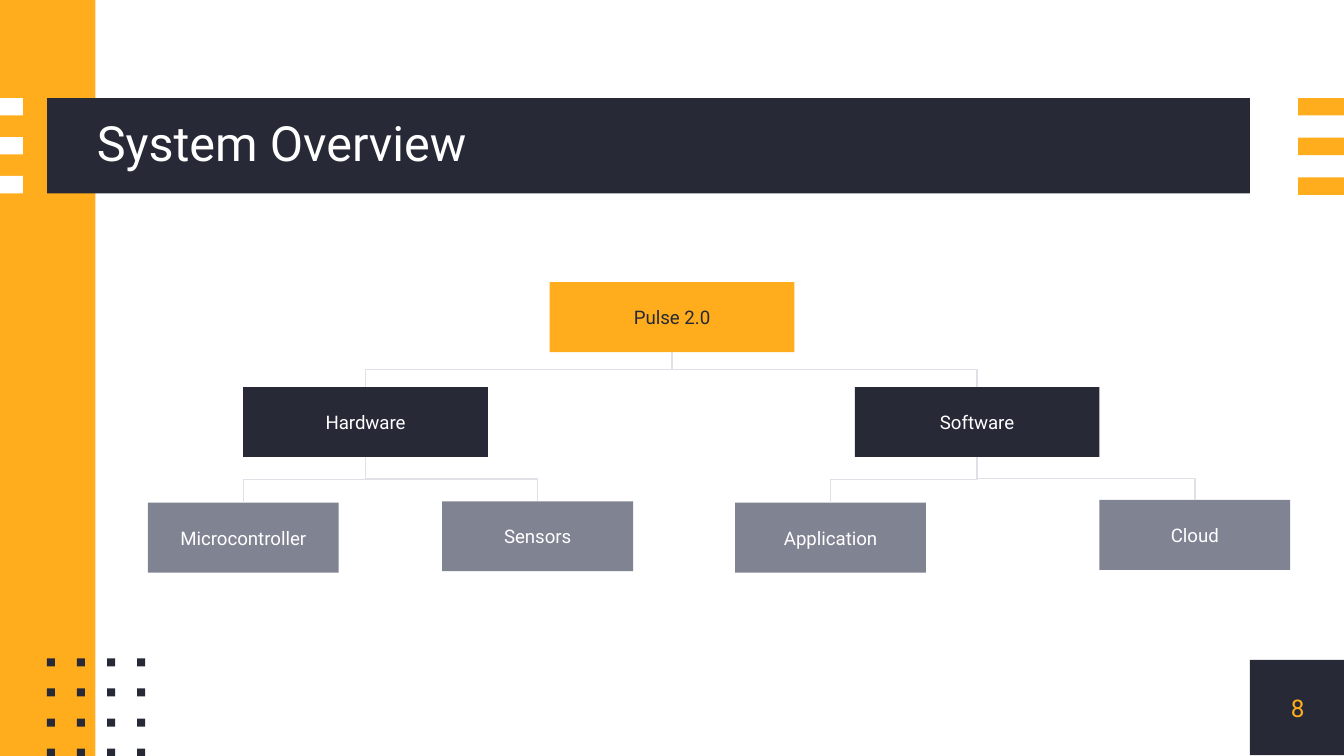
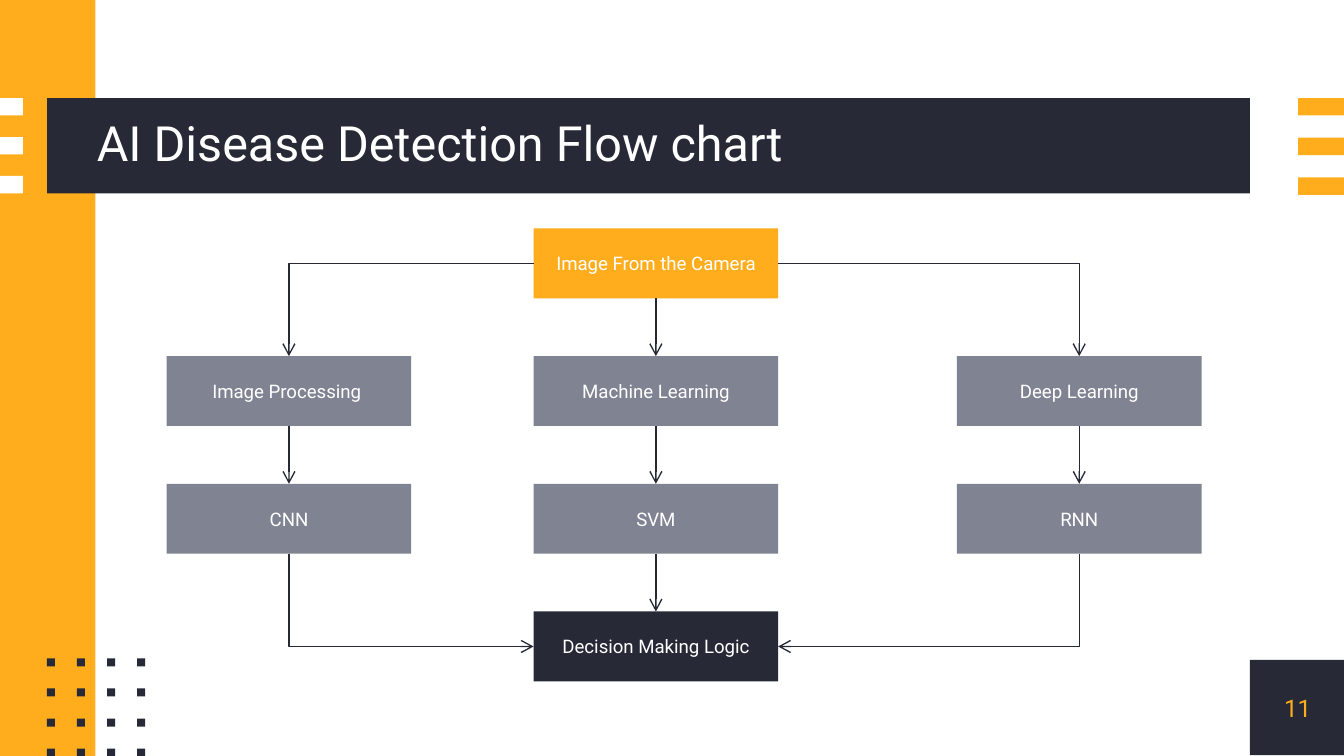
"""Build the system overview and disease detection flow chart slides."""
from itertools import product

from pptx import Presentation
from pptx.dml.color import RGBColor
from pptx.enum import shapes, text
from pptx.oxml import ns
from pptx.util import Inches, Pt
from lxml import etree

COLORS = {
    "navy": "272A36",
    "amber": "FFAD1D",
    "gray": "808392",
    "pale": "E0E0E7",
    "white": "FFFFFF",
}
FONT = "Roboto"
PAGE_WIDTH = 10
PAGE_HEIGHT = PAGE_WIDTH * 9 / 16
TOP, LEFT, BOTTOM, RIGHT = range(4)
BOX_WIDTH, BOX_HEIGHT, LEAF_WIDTH = 1.82, 0.52, 1.42
BAND_TOP, BAND_HEIGHT = 0.73, 0.71
CORNER = (9.3, 4.91, 0.71, 0.71)


def color(name):
    return RGBColor.from_string(COLORS[name])


def write(shape, words, size, ink, align, inset=0):
    frame = shape.text_frame
    frame.word_wrap = True
    frame.auto_size = text.MSO_AUTO_SIZE.NONE
    frame.vertical_anchor = text.MSO_ANCHOR.MIDDLE
    frame.margin_left = frame.margin_right = Inches(inset)
    frame.margin_top = frame.margin_bottom = Inches(inset)
    para = frame.paragraphs[0]
    para.alignment = align
    span = para.add_run()
    span.text = words
    span.font.name = FONT
    span.font.size = Pt(size)
    span.font.color.rgb = color(ink)
    return para


def add_block(page, left, top, width, height, fill):
    block = page.shapes.add_shape(
        shapes.MSO_SHAPE.RECTANGLE,
        Inches(left), Inches(top), Inches(width), Inches(height))
    block.shadow.inherit = False
    block.fill.solid()
    block.fill.fore_color.rgb = color(fill)
    block.line.fill.background()
    return block


def add_box(page, words, left, top, fill, ink="white", width=BOX_WIDTH):
    box = add_block(page, left, top, width, BOX_HEIGHT, fill)
    write(box, words, 10, ink, text.PP_ALIGN.CENTER, 0.1)
    return box


def turn_vertical(line):
    dx, dy = line.end_x - line.begin_x, line.end_y - line.begin_y
    middle_x = (line.begin_x + line.end_x) // 2
    middle_y = (line.begin_y + line.end_y) // 2
    line.left, line.top = middle_x - dy // 2, middle_y - abs(dx) // 2
    line.width, line.height = dy, abs(dx)
    frame = line._element.spPr.xfrm
    frame.flipH, frame.flipV, frame.rot = False, dx > 0, 90


def link(page, start, start_side, end, end_side, ink, arrow=False):
    line = page.shapes.add_connector(shapes.MSO_CONNECTOR.ELBOW, 0, 0, 0, 0)
    line.begin_connect(start, start_side)
    line.end_connect(end, end_side)
    outline = line._element.spPr
    geometry = outline.find(ns.qn("a:prstGeom"))
    if line.begin_x == line.end_x:
        geometry.set("prst", "line")
    else:
        if (start_side, end_side) != (BOTTOM, TOP):
            geometry.set("prst", "bentConnector2")
        if start_side == BOTTOM:
            turn_vertical(line)
    line.line.color.rgb = color(ink)
    line.line.width = Pt(0.75)
    if arrow:
        etree.SubElement(outline.find(ns.qn("a:ln")), ns.qn("a:tailEnd"), type="arrow")
    etree.SubElement(outline, ns.qn("a:effectLst"))


def decorate_layout(layout, page):
    """Draw the shared decoration on a page and move it into the layout."""
    blocks = [
        add_block(page, *CORNER, "navy"),
        add_block(page, 0, 0, 0.71, PAGE_HEIGHT, "amber"),
        add_block(page, 0.35, BAND_TOP, 8.95, BAND_HEIGHT, "navy"),
    ]
    for row in range(3):
        blocks.append(add_block(page, 0, BAND_TOP + 0.29 * row, 0.17, 0.13, "white"))
        blocks.append(add_block(page, 9.66, BAND_TOP + 0.59 * row / 2, 0.34, 0.13, "amber"))
    for row, column in product(range(4), repeat=2):
        blocks.append(add_block(
            page, 0.35 + 0.67 * column / 3, 4.9 + 0.67 * row / 3, 0.06, 0.06, "navy"))
    tree = layout.shapes._spTree
    for position, block in enumerate(blocks, start=2):
        tree.insert(position, block._element)


def add_page(deck, layout, title, number):
    page = deck.slides.add_slide(layout)
    heading = page.shapes.title
    heading.left, heading.top = Inches(0.72), Inches(BAND_TOP)
    heading.width, heading.height = Inches(8.58), Inches(BAND_HEIGHT)
    para = write(heading, title, 26, "white", text.PP_ALIGN.LEFT)
    para.line_spacing = 0.9
    label = page.shapes.add_textbox(*map(Inches, CORNER))
    write(label, number, 13, "amber", text.PP_ALIGN.CENTER)
    return page


def draw_overview(page):
    root = add_box(page, "Pulse 2.0", 4.09, 2.1, "amber", "navy")
    branches = [
        ("Hardware", 1.81, [("Microcontroller", 1.1, 3.74), ("Sensors", 3.29, 3.73)]),
        ("Software", 6.36, [("Application", 5.47, 3.74), ("Cloud", 8.18, 3.72)]),
    ]
    for name, left, leaves in branches:
        branch = add_box(page, name, left, 2.88, "navy")
        link(page, root, BOTTOM, branch, TOP, "pale")
        for words, leaf_left, leaf_top in leaves:
            leaf = add_box(page, words, leaf_left, leaf_top, "gray", width=LEAF_WIDTH)
            link(page, branch, BOTTOM, leaf, TOP, "pale")


def draw_flow(page):
    rows = [1.7 + 0.95 * row for row in range(4)]
    center = 3.97
    camera = add_box(page, "Image From the Camera", center, rows[0], "amber")
    decision = add_box(page, "Decision Making Logic", center, rows[3], "navy")
    tracks = [
        ("Image Processing ", "CNN", 1.24, LEFT, LEFT),
        ("Machine Learning", "SVM", center, BOTTOM, TOP),
        ("Deep Learning", "RNN", 7.12, RIGHT, RIGHT),
    ]
    for method, model, left, exit_side, entry_side in tracks:
        method_box = add_box(page, method, left, rows[1], "gray")
        model_box = add_box(page, model, left, rows[2], "gray")
        link(page, camera, exit_side, method_box, TOP, "navy", arrow=True)
        link(page, method_box, BOTTOM, model_box, TOP, "navy", arrow=True)
        link(page, model_box, BOTTOM, decision, entry_side, "navy", arrow=True)


def main():
    deck = Presentation()
    deck.slide_width, deck.slide_height = Inches(PAGE_WIDTH), Inches(PAGE_HEIGHT)
    layout = deck.slide_layouts.get_by_name("Title Only")
    overview = add_page(deck, layout, "System Overview", "8")
    decorate_layout(layout, overview)
    draw_overview(overview)
    draw_flow(add_page(deck, layout, "AI Disease Detection Flow chart", "11"))
    deck.save("out.pptx")


if __name__ == "__main__":
    main()
